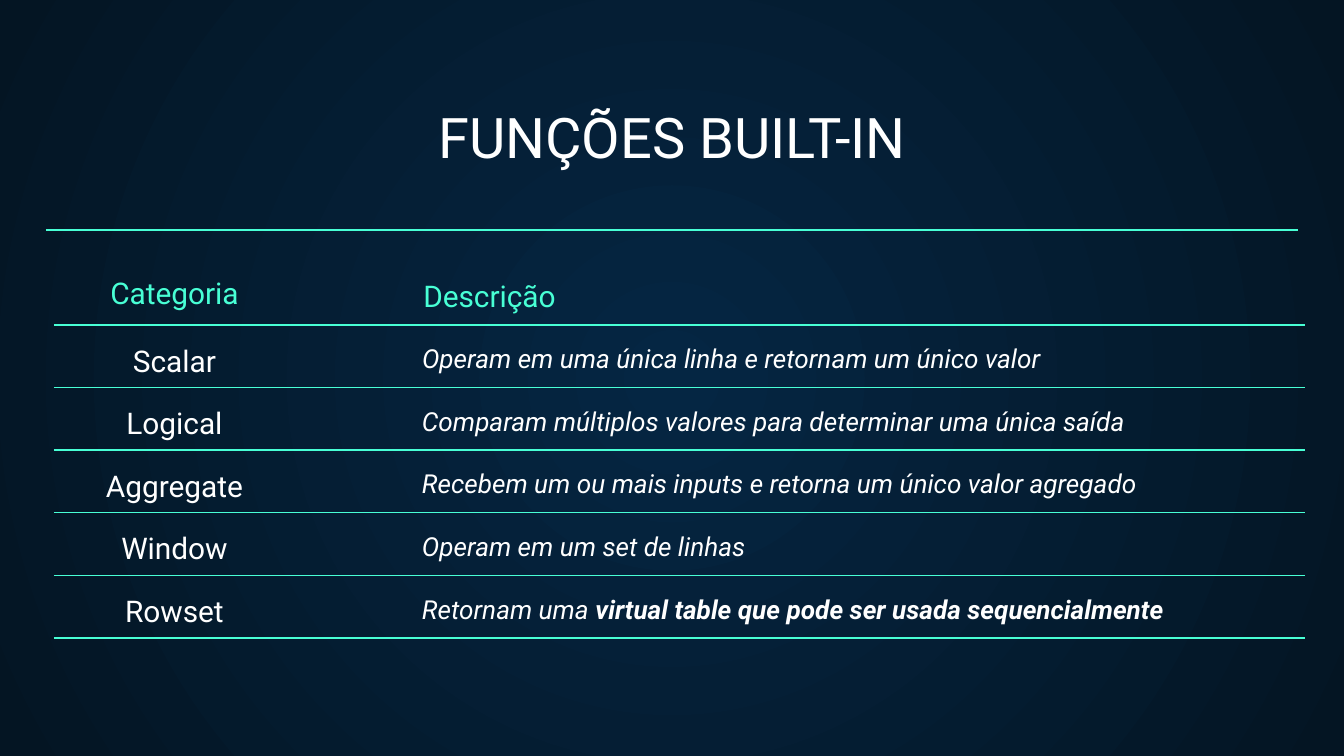
from lxml import etree
from pptx import Presentation
from pptx.dml.color import RGBColor
from pptx.enum.shapes import MSO_CONNECTOR as Connector
from pptx.enum.text import MSO_ANCHOR as Anchor, PP_ALIGN as Align
from pptx.oxml.ns import qn
from pptx.util import Emu, Pt

WIDTH, HEIGHT = 1344, 756
SCALE = 9144000 / WIDTH
FONT = "Roboto"
COLORS = {"center": "052643", "edge": "041523", "accent": "48FFD5", "text": "FFFFFF"}

INSET = 13
FIRST_RULE, ROW_PITCH = 325, 62.6
RULE_LEFT, RULE_RIGHT = 54, 1305
CATEGORY_LEFT, CATEGORY_WIDTH = 69, 211
DESCRIPTION_LEFT = 409

# Category, description, bold ending, width of the description box
ROWS = [
    ("Scalar", "Operam em uma única linha e retornam um único valor", "", 851),
    ("Logical", "Comparam múltiplos valores para determinar uma única saída", "", 935),
    ("Aggregate", "Recebem um ou mais inputs e retorna um único valor agregado", "", 792),
    ("Window", "Operam em um set de linhas", "", 868),
    ("Rowset", "Retornam uma ", "virtual table que pode ser usada sequencialmente", 890),
]


def px(length):
    return Emu(round(length * SCALE))


def color(name):
    return RGBColor.from_string(COLORS[name])


def paint_background(page):
    """Fill the page with a circular gradient from its centre."""
    fill = page.background.fill
    fill.gradient()
    for stop, name in zip(fill.gradient_stops, ("center", "edge")):
        stop.color.rgb = color(name)
    gradient = page.element.find(".//" + qn("a:gradFill"))
    gradient.remove(gradient.find(qn("a:lin")))
    circle = etree.SubElement(gradient, qn("a:path"), path="circle")
    etree.SubElement(circle, qn("a:fillToRect"), l="50000", t="50000", r="50000", b="50000")


def style_span(span, size, color_name, italic=False, bold=False):
    font = span.font
    font.name, font.size = FONT, Pt(size)
    font.color.rgb = color(color_name)
    font.italic, font.bold = italic, bold


def add_text(page, text, left, top, width, height, size,
             color_name="text", align=Align.CENTER, italic=False, bold_ending=""):
    box = page.shapes.add_textbox(px(left), px(top), px(width), px(height))
    frame = box.text_frame
    frame.word_wrap = True
    frame.vertical_anchor = Anchor.BOTTOM
    frame.margin_left = frame.margin_right = px(INSET)
    frame.margin_top = frame.margin_bottom = px(INSET)
    frame.text = text
    para = frame.paragraphs[0]
    para.alignment = align
    style_span(para.runs[0], size, color_name, italic)
    if bold_ending:
        span = para.add_run()
        span.text = bold_ending
        style_span(span, size, color_name, italic, bold=True)


def add_rule(page, left, right, y):
    rule = page.shapes.add_connector(Connector.STRAIGHT, px(left), px(y), px(right), px(y))
    rule.line.color.rgb = color("accent")
    rule.line.width = Pt(0.75)
    etree.SubElement(rule.element.spPr, qn("a:effectLst"))


def add_row(page, rule_y, category, description, bold_ending, width):
    """Add one category with its description and the rule below them."""
    add_text(page, category, CATEGORY_LEFT, rule_y + 12, CATEGORY_WIDTH, 54, 16)
    add_text(page, description, DESCRIPTION_LEFT, rule_y + 15, width, 47, 14,
             align=Align.LEFT, italic=True, bold_ending=bold_ending)
    add_rule(page, RULE_LEFT, RULE_RIGHT, rule_y + ROW_PITCH)


def main():
    deck = Presentation()
    deck.slide_width, deck.slide_height = px(WIDTH), px(HEIGHT)
    page = deck.slides.add_slide(deck.slide_layouts[6])
    paint_background(page)

    add_text(page, "FUNÇÕES BUILT-IN", 46, 94, 1253, 89, 30)
    add_rule(page, 46, 1298, 230)

    add_text(page, "Categoria", CATEGORY_LEFT, 242, CATEGORY_WIDTH, 81, 16, "accent")
    add_text(page, "Descrição", 384, 246, CATEGORY_WIDTH, 81, 16, "accent")
    add_rule(page, RULE_LEFT, RULE_RIGHT, FIRST_RULE)
    for index, row in enumerate(ROWS):
        add_row(page, FIRST_RULE + index * ROW_PITCH, *row)

    deck.save("out.pptx")


if __name__ == "__main__":
    main()
